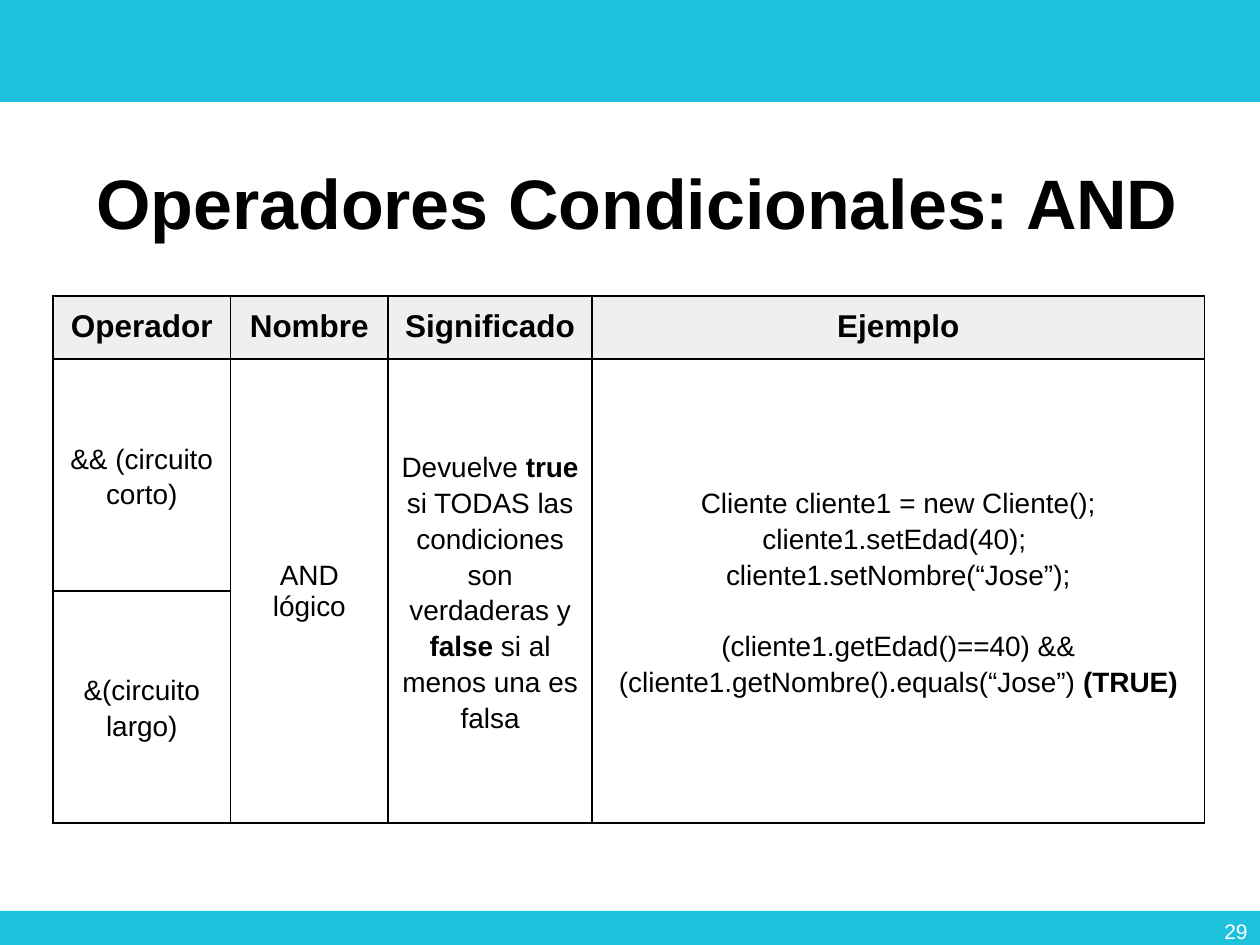
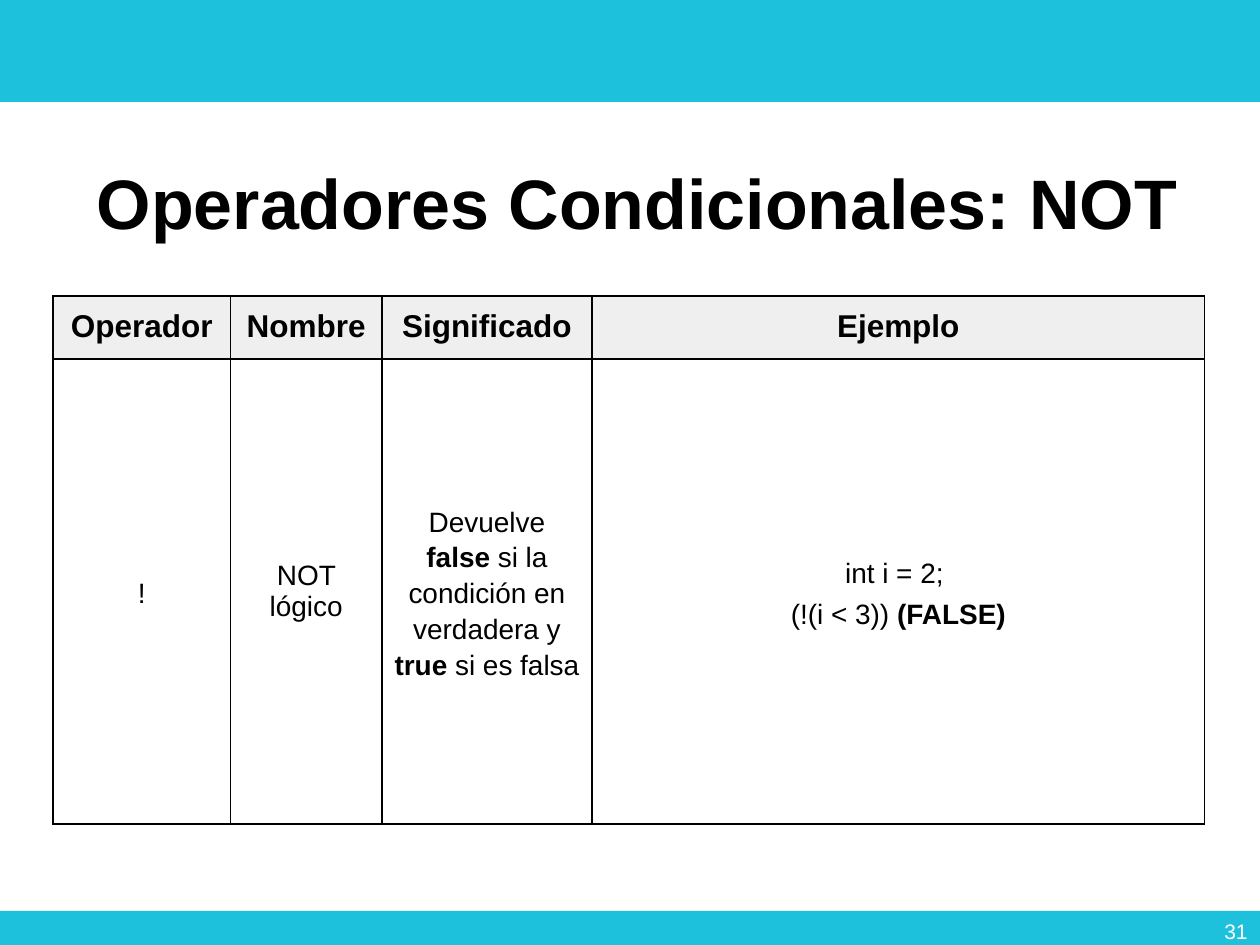
from lxml.etree import SubElement
from pptx import Presentation
from pptx.dml.color import RGBColor
from pptx.enum.shapes import MSO_SHAPE
from pptx.enum.text import MSO_ANCHOR, MSO_AUTO_SIZE, PP_ALIGN
from pptx.oxml.ns import qn
from pptx.util import Inches, Pt

CYAN = RGBColor(0x1D, 0xC1, 0xDC)
GREY = RGBColor(0xEF, 0xEF, 0xEF)
BLACK = RGBColor(0, 0, 0)
WHITE = RGBColor(0xFF, 0xFF, 0xFF)
FONT = "Arial"
COLS, ROWS = 100, 75
HEADS = ["Operador", "Nombre", "Significado", "Ejemplo"]


class Deck:
    def __init__(self):
        self.prs = Presentation()
        self.prs.slide_width = Inches(10)
        self.prs.slide_height = Inches(7.5)
        self.slide = None

    def across(self, count):
        return int(self.prs.slide_width * count / COLS)

    def down(self, count):
        return int(self.prs.slide_height * count / ROWS)

    def area(self, left, top, width, height):
        return self.across(left), self.down(top), self.across(width), self.down(height)

    def style(self, para, size, color=BLACK, bold=False, align=PP_ALIGN.CENTER, line=None):
        para.alignment = align
        if line:
            para.line_spacing = line
        font = para.font
        font.name, font.size, font.bold = FONT, Pt(size), bold
        font.color.rgb = color

    def start(self, title, number):
        self.slide = self.prs.slides.add_slide(self.prs.slide_layouts[5])
        self.band(0, 8.1)
        self.band(72.3, ROWS - 72.3)
        self.title(title)
        self.number(number)

    def band(self, top, height):
        band = self.slide.shapes.add_shape(MSO_SHAPE.RECTANGLE, *self.area(0, top, COLS, height))
        band.shadow.inherit = False
        band.fill.solid()
        band.fill.fore_color.rgb = CYAN
        band.line.fill.background()

    def title(self, text):
        head = self.slide.shapes.title
        head.left, head.top, head.width, head.height = self.area(6.2, 9.8, 88.7, 13.3)
        frame = head.text_frame
        frame.text = text
        frame.auto_size = MSO_AUTO_SIZE.NONE
        frame.vertical_anchor = MSO_ANCHOR.MIDDLE
        self.style(frame.paragraphs[0], 40, bold=True, line=0.9)

    def number(self, number):
        frame = self.slide.shapes.add_textbox(*self.area(77.5, 71.9, 22.5, 4)).text_frame
        frame.word_wrap = True
        frame.vertical_anchor = MSO_ANCHOR.MIDDLE
        frame.text = str(number)
        self.style(frame.paragraphs[0], 12, WHITE, align=PP_ALIGN.RIGHT)

    def table(self, widths, heights, body):
        place = self.area(4.2, 23.5, sum(widths), sum(heights))
        grid = self.slide.shapes.add_table(len(heights), len(widths), *place).table
        grid.first_row = grid.horz_banding = False
        for col, width in zip(grid.columns, widths):
            col.width = self.across(width)
        for row, height in zip(grid.rows, heights):
            row.height = self.down(height)
        for cell in grid.iter_cells():
            self.frame(cell)
        for cell, text in zip(grid.rows[0].cells, HEADS):
            cell.fill.solid()
            cell.fill.fore_color.rgb = GREY
            self.words(cell, [text], 18, bold=True)
        for r, texts in enumerate(body, 1):
            for c, lines in enumerate(texts):
                cell = grid.cell(r, c)
                cell.vertical_anchor = MSO_ANCHOR.MIDDLE
                self.words(cell, lines, 16, line=None if c == 1 else 1.15)
        if len(body) > 1:
            for c in range(1, len(widths)):
                grid.cell(1, c).merge(grid.cell(len(body), c))
        return grid

    def frame(self, cell):
        cell.margin_left = cell.margin_right = self.across(1)
        cell.margin_top = cell.margin_bottom = self.down(1)
        props = cell._tc.get_or_add_tcPr()
        for side in ("lnL", "lnR", "lnT", "lnB"):
            edge = SubElement(props, qn(f"a:{side}"), w=str(Pt(1)))
            fill = SubElement(edge, qn("a:solidFill"))
            SubElement(fill, qn("a:srgbClr"), val=str(BLACK))
        cell.fill.background()

    def words(self, cell, lines, size, bold=False, line=None):
        frame = cell.text_frame
        for i, text in enumerate(lines):
            para = frame.add_paragraph() if i else frame.paragraphs[0]
            self.style(para, size, bold=bold, line=line)
            for j, part in enumerate(text.split("*")):
                if part:
                    run = para.add_run()
                    run.text = part
                    if j % 2:
                        run.font.bold = True


def main():
    deck = Deck()

    deck.start("Operadores Condicionales: AND", 29)
    both = [
        "Cliente cliente1 = new Cliente();",
        "cliente1.setEdad(40); ",
        "cliente1.setNombre(“Jose”);",
        "(cliente1.getEdad()==40) && (cliente1.getNombre().equals(“Jose”) *(TRUE)*",
    ]
    sense = ("Devuelve *true* si TODAS las condiciones son verdaderas y "
             "*false* si al menos una es falsa")
    grid = deck.table([14.1, 12.5, 16.2, 48.6], [4.9, 18.4, 18.4], [
        [["&& (circuito corto)"], ["AND lógico"], [sense], both],
        [["&(circuito largo)"]],
    ])
    grid.cell(1, 3).text_frame.paragraphs[-1].space_before = Pt(20.5)

    deck.start("Operadores Condicionales: NOT", 31)
    sense = "Devuelve *false* si la condición en verdadera y *true* si es falsa"
    grid = deck.table([14.1, 12, 16.7, 48.6], [4.9, 36.9], [
        [["!"], ["NOT lógico"], [sense], ["int i = 2; ", "(!(i < 3)) *(FALSE)*"]],
    ])
    grid.cell(1, 3).text_frame.paragraphs[-1].space_before = Pt(3)

    deck.prs.save("out.pptx")


if __name__ == "__main__":
    main()
